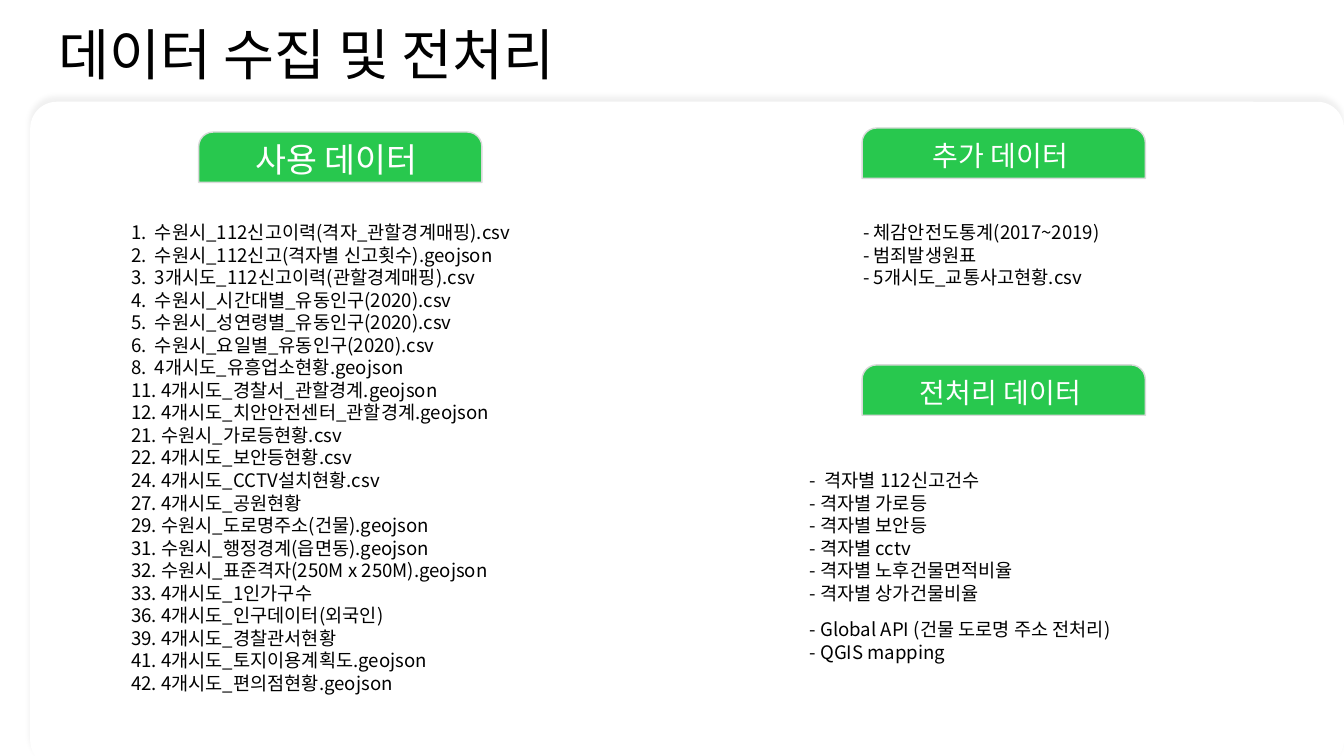
"""Build the data collection and preprocessing slide."""
from dataclasses import dataclass

from lxml import etree
from pptx import Presentation
from pptx import util as u
from pptx.dml.color import RGBColor
from pptx.enum import shapes, text
from pptx.oxml import ns

FONT = "Noto Sans CJK KR"
COLORS = {"ink": "000000", "paper": "FFFFFF", "green": "28C84E", "border": "D9D9D9"}
LINE_RATIO = 1.21
BODY_SIZE = 13.3


@dataclass
class Tab:
    """A green section heading."""
    label: str
    left: float
    top: float
    size: float


@dataclass
class Listing:
    """A block of plain lines."""
    left: float
    top: float
    width: float
    height: float
    lines: list[str]


TABS = [
    Tab("사용 데이터 ", 1.97, 1.31, 24),
    Tab("추가 데이터 ", 8.55, 1.27, 20),
    Tab("전처리 데이터 ", 8.55, 3.62, 20),
]

LISTINGS = [
    Listing(1.17, 2.12, 5.65, 4.85, [
        "1.  수원시_112신고이력(격자_관할경계매핑).csv",
        "2.  수원시_112신고(격자별 신고횟수).geojson",
        "3.  3개시도_112신고이력(관할경계매핑).csv",
        "4.  수원시_시간대별_유동인구(2020).csv",
        "5.  수원시_성연령별_유동인구(2020).csv",
        "6.  수원시_요일별_유동인구(2020).csv",
        "8.  4개시도_유흥업소현황.geojson",
        "11. 4개시도_경찰서_관할경계.geojson",
        "12. 4개시도_치안안전센터_관할경계.geojson",
        "21. 수원시_가로등현황.csv",
        "22. 4개시도_보안등현황.csv",
        "24. 4개시도_CCTV설치현황.csv",
        "27. 4개시도_공원현황",
        "29. 수원시_도로명주소(건물).geojson",
        "31. 수원시_행정경계(읍면동).geojson",
        "32. 수원시_표준격자(250M x 250M).geojson",
        "33. 4개시도_1인가구수",
        "36. 4개시도_인구데이터(외국인)",
        "39. 4개시도_경찰관서현황",
        "41. 4개시도_토지이용계획도.geojson",
        "42. 4개시도_편의점현황.geojson",
    ]),
    Listing(8.43, 2.12, 3.12, 0.81, [
        "- 체감안전도통계(2017~2019)",
        "- 범죄발생원표",
        "- 5개시도_교통사고현황.csv",
    ]),
    Listing(7.9, 4.58, 4.41, 1.48, [
        "-  격자별 112신고건수",
        "- 격자별 가로등",
        "- 격자별 보안등",
        "- 격자별 cctv",
        "- 격자별 노후건물면적비율",
        "- 격자별 상가건물비율",
    ]),
    Listing(7.9, 6.06, 4.98, 0.58, [
        "- Global API (건물 도로명 주소 전처리)",
        "- QGIS mapping",
    ]),
]


def color(name: str) -> RGBColor:
    """Look up a palette colour."""
    return RGBColor.from_string(COLORS[name])


def write(frame, lines: list[str], size: float, ink: str, align=text.PP_ALIGN.LEFT) -> None:
    """Write one paragraph per line with an even line pitch."""
    for index, line in enumerate(lines):
        para = frame.add_paragraph() if index else frame.paragraphs[0]
        para.alignment = align
        para.line_spacing = u.Pt(round(size * LINE_RATIO, 1))
        para.space_before = para.space_after = u.Pt(0)
        span = para.add_run()
        span.text = line
        span.font.size = u.Pt(size)
        span.font.name = FONT
        span.font.color.rgb = color(ink)
        east_asian = etree.SubElement(span.font._element, ns.qn("a:ea"))
        east_asian.set("typeface", FONT)


def set_frame(frame, side: float, edge: float) -> None:
    """Set wrapping, top anchoring and insets."""
    frame.word_wrap = True
    frame.auto_size = text.MSO_AUTO_SIZE.NONE
    frame.vertical_anchor = text.MSO_ANCHOR.TOP
    frame.margin_left = frame.margin_right = u.Inches(side)
    frame.margin_top = frame.margin_bottom = u.Inches(edge)


def add_panel(page) -> None:
    """Add the white rounded panel with its faint upward shadow."""
    panel = page.shapes.add_shape(
        shapes.MSO_SHAPE.ROUNDED_RECTANGLE,
        u.Inches(0.3), u.Inches(1.01), u.Inches(13.03), u.Inches(6.6))
    panel.adjustments[0] = 0.04
    panel.fill.solid()
    panel.fill.fore_color.rgb = color("paper")
    panel.line.fill.background()
    panel.shadow.inherit = False
    effects = panel._element.spPr.find(ns.qn("a:effectLst"))
    shadow = etree.SubElement(
        effects, ns.qn("a:outerShdw"), blurRad=str(u.Pt(4)), dist=str(u.Pt(3)),
        dir="16200000", algn="b", rotWithShape="0")
    tint = etree.SubElement(shadow, ns.qn("a:srgbClr"), val=COLORS["ink"])
    etree.SubElement(tint, ns.qn("a:alpha"), val="5000")


def add_title(page) -> None:
    """Place and format the slide title."""
    title = page.shapes.title
    title.left, title.top = u.Inches(0.45), u.Inches(0.06)
    title.width, title.height = u.Inches(12.42), u.Inches(0.84)
    set_frame(title.text_frame, 0.13, 0.13)
    write(title.text_frame, ["데이터 수집 및 전처리"], 39.6, "ink")


def add_tab(page, tab: Tab) -> None:
    """Add a section heading with rounded top corners."""
    box = page.shapes.add_shape(
        shapes.MSO_SHAPE.ROUND_2_SAME_RECTANGLE,
        u.Inches(tab.left), u.Inches(tab.top), u.Inches(2.81), u.Inches(0.5))
    box.adjustments[0] = 0.29
    box.fill.solid()
    box.fill.fore_color.rgb = color("green")
    box.line.color.rgb = color("border")
    box.line.width = u.Pt(1)
    box.shadow.inherit = False
    box.text_frame.vertical_anchor = text.MSO_ANCHOR.MIDDLE
    write(box.text_frame, [tab.label], tab.size, "paper", text.PP_ALIGN.CENTER)


def add_listing(page, listing: Listing) -> None:
    """Add a block of body lines."""
    box = page.shapes.add_textbox(
        u.Inches(listing.left), u.Inches(listing.top),
        u.Inches(listing.width), u.Inches(listing.height))
    set_frame(box.text_frame, 0.13, 0.07)
    write(box.text_frame, listing.lines, BODY_SIZE, "ink")


def main() -> None:
    """Build and save the deck."""
    deck = Presentation()
    deck.slide_width, deck.slide_height = u.Inches(13.33), u.Inches(7.5)
    page = deck.slides.add_slide(deck.slide_layouts[5])
    add_panel(page)
    add_title(page)
    for tab in TABS:
        add_tab(page, tab)
    for listing in LISTINGS:
        add_listing(page, listing)
    deck.save("out.pptx")


if __name__ == "__main__":
    main()
